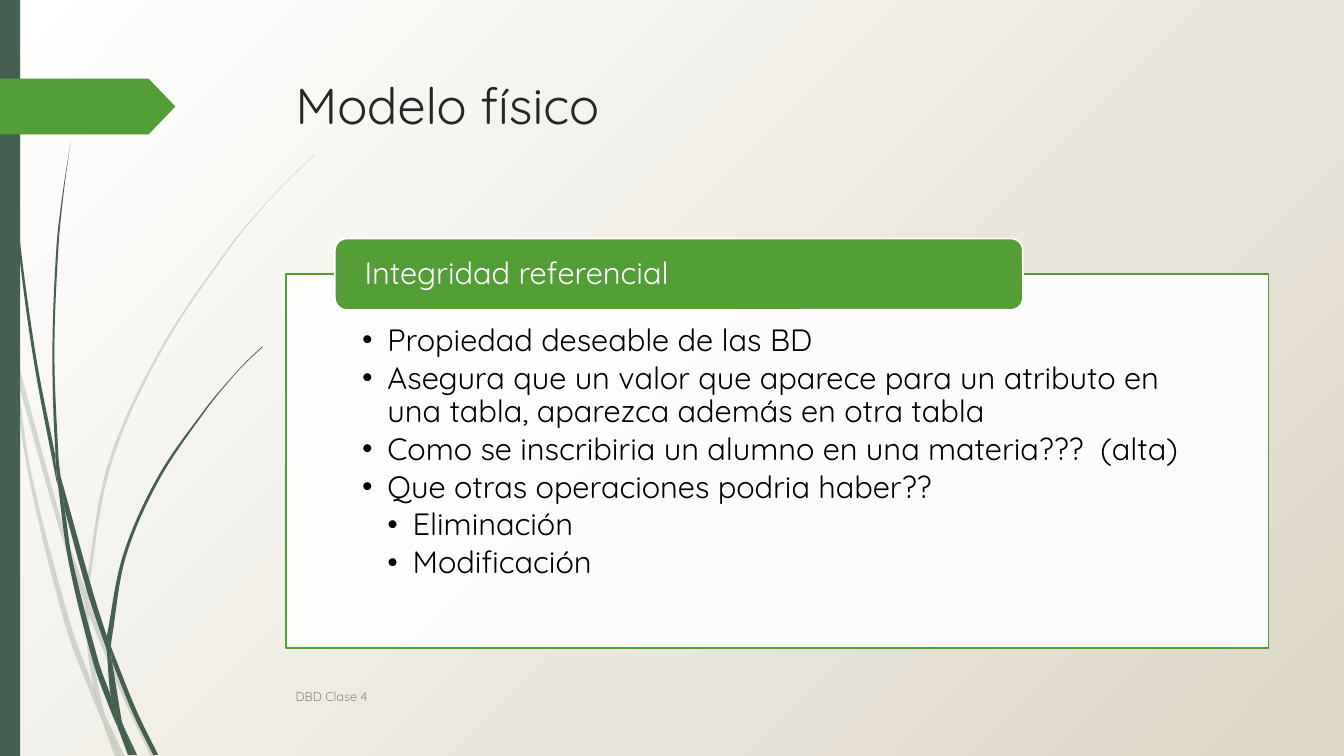
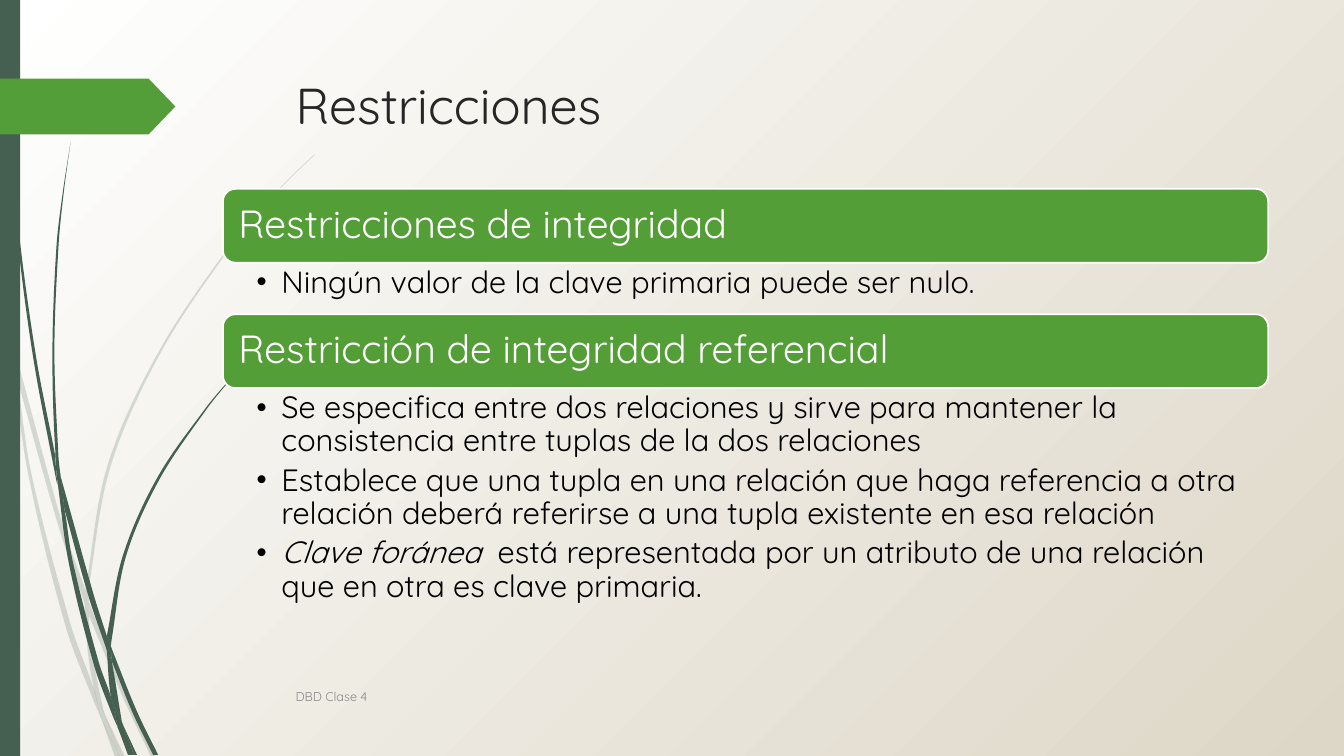
from math import dist

from lxml.etree import SubElement
from pptx import Presentation
from pptx.dml.color import RGBColor
from pptx.enum.shapes import MSO_SHAPE as Kind
from pptx.enum.text import MSO_ANCHOR as Anchor, PP_ALIGN as Align
from pptx.oxml.ns import qn
from pptx.util import Cm, Pt

# Shared look
FONT = "Quicksand"
WHITE = RGBColor(0xFF, 0xFF, 0xFF)
BLACK = RGBColor(0, 0, 0)
SAND = RGBColor(0xDD, 0xD7, 0xC7)
PINE = RGBColor(0x45, 0x5F, 0x51)
LEAF = RGBColor(0x54, 0x9E, 0x39)
GREEN = RGBColor(0x53, 0x9E, 0x36)
INK = RGBColor(0x26, 0x26, 0x26)
GRAY = RGBColor(0x88, 0x88, 0x88)

# Boxes in cm: left, top, width, height
WIDE, HIGH = 33.87, 19.05
BAND = (0, 0, 0.51, HIGH)
ARROW = (0, 1.98, 4.42, 1.41)
TITLE = (7.2, 1.73, 24.77, 3.56)
FOOT = (7.2, 17.04, 21.16, 1.02)

# Grass pieces: the edge down and the edge back up, in steps of 0.0254 cm
FINE = 100
UNIT = Cm(2.54) / 100 / FINE
PALE = [
    ([(0, 282), (9, 322), (11, 350)], [(11, 350), (10, 344), (0, 299)]),
    ([(14, 345), (62, 520), (85, 586)], [(84, 599), (58, 522), (17, 376)]),
    ([(88, 596), (92, 607), (127, 692), (155, 751)],
     [(150, 751), (123, 694), (88, 610)]),
    ([(105, 711), (124, 751)], [(119, 751), (105, 711)]),
    ([(11, 350), (17, 376), (31, 469), (70, 619), (93, 683), (99, 707),
      (101, 714)],
     [(101, 714), (92, 693), (65, 621), (28, 470), (11, 350)]),
    ([(84, 599), (88, 608), (88, 610), (91, 646), (103, 706), (105, 711)],
     [(105, 711), (96, 692), (93, 683), (87, 646), (84, 599)]),
    ([(312, 153), (289, 175), (268, 197), (228, 244), (158, 348),
      (107, 461), (85, 584), (85, 586)],
     [(88, 596), (88, 584), (110, 462), (160, 349), (229, 245), (268, 198),
      (290, 175), (312, 154)]),
    ([(101, 714), (119, 751)], [(114, 751), (101, 714)]),
    ([(85, 586), (88, 596)], [(88, 610), (88, 608), (84, 599)]),
    ([(93, 683), (99, 707), (101, 714), (119, 751)],
     [(119, 751), (105, 711), (96, 692), (93, 683)]),
]
DARK = [
    ([(3, 0), (4, 48), (7, 110), (17, 233), (33, 355), (56, 477), (57, 481)],
     [(57, 481), (55, 457), (55, 453), (36, 355), (19, 232), (8, 109),
      (5, 48), (4, 0)]),
    ([(60, 472), (93, 590), (106, 631)], [(106, 645), (88, 592), (64, 505)]),
    ([(110, 641), (113, 649), (136, 706), (157, 749)],
     [(152, 749), (132, 708), (111, 656)]),
    ([(57, 477), (64, 505), (72, 556), (98, 657), (110, 691), (116, 717),
      (117, 722)],
     [(117, 722), (111, 708), (93, 659), (68, 557), (57, 477)]),
    ([(70, 141), (62, 193), (56, 245), (52, 349), (55, 449), (60, 472)],
     [(60, 472), (58, 453), (54, 349), (58, 245), (63, 193), (70, 141)]),
    ([(122, 719), (136, 749)], [(133, 749), (122, 719)]),
    ([(55, 449), (60, 472), (64, 505)],
     [(64, 505), (57, 477), (55, 453), (55, 449)]),
    ([(260, 344), (245, 358), (231, 373), (204, 405), (156, 474),
      (122, 551), (106, 631)],
     [(110, 641), (111, 633), (125, 552), (158, 476), (205, 406),
      (231, 374), (245, 359), (261, 344)]),
    ([(117, 722), (131, 749)], [(127, 749), (117, 722)]),
    ([(106, 645), (109, 651), (111, 656), (121, 716), (122, 719)],
     [(122, 719), (116, 706), (110, 691), (106, 645)]),
    ([(106, 631), (110, 641), (111, 656)],
     [(109, 651), (106, 645), (106, 633)]),
    ([(110, 691), (116, 717), (117, 722), (130, 749)],
     [(133, 749), (122, 719), (116, 706), (110, 691)]),
]


def place(box):
    return [Cm(n) for n in box]


def paint(shape, fill, alpha=None, edge=None):
    shape.shadow.inherit = False
    shape.fill.solid()
    shape.fill.fore_color.rgb = fill
    if alpha is not None:
        tint = shape._element.spPr.find(".//" + qn("a:srgbClr"))
        SubElement(tint, qn("a:alpha"), val=str(alpha * 1000))
    if edge is None:
        shape.line.fill.background()
    else:
        shape.line.color.rgb = edge
        shape.line.width = Pt(1.25)


def block(slide, kind, box, fill, alpha=None, edge=None):
    shape = slide.shapes.add_shape(kind, *place(box))
    paint(shape, fill, alpha, edge)
    return shape


def setup(shape, pads, anchor=Anchor.TOP):
    frame = shape.text_frame
    frame.word_wrap = True
    frame.vertical_anchor = anchor
    (frame.margin_left, frame.margin_top,
     frame.margin_right, frame.margin_bottom) = place(pads)
    return frame


def style(para, size, color):
    para.alignment = Align.LEFT
    for run in para.runs:
        run.font.name = FONT
        run.font.size = Pt(size)
        run.font.color.rgb = color


def label(shape, text, size, color, pads, anchor=Anchor.TOP, space=None):
    para = setup(shape, pads, anchor).paragraphs[0]
    para.text = text
    para.line_spacing = space
    style(para, size, color)


def bullets(shape, items, gap, pads):
    """Each item is a level and its text; a first part of two is italic."""
    frame = setup(shape, pads)
    for i, (level, *parts) in enumerate(items):
        para = frame.add_paragraph() if i else frame.paragraphs[0]
        para.text = parts[0]
        for part in parts[1:]:
            para.runs[0].font.italic = True
            para.add_run().text = part
        style(para, 22, BLACK)
        para.level = level
        para.line_spacing = 0.9
        para.space_before = Pt(gap if i else 0)
        props = para._p.get_or_add_pPr()
        props.set("marL", str(Cm(0.635 * (level + 1))))
        props.set("indent", str(-Cm(0.635)))
        SubElement(props, qn("a:buFont"), typeface=FONT)
        SubElement(props, qn("a:buChar"), char="•")


def curve(knots):
    """Control points and end of each smooth arc through the knots."""
    times = [0]
    for a, b in zip(knots, knots[1:]):
        times.append(times[-1] + dist(a, b))
    last = len(knots) - 1
    slopes = []
    for i in range(last + 1):
        lo, hi = max(i - 1, 0), min(i + 1, last)
        span = times[hi] - times[lo]
        slopes.append([(q - p) / span for p, q in zip(knots[lo], knots[hi])])
    arcs = []
    for i in range(last):
        third = (times[i + 1] - times[i]) / 3
        out = [p + m * third for p, m in zip(knots[i], slopes[i])]
        back = [p - m * third for p, m in zip(knots[i + 1], slopes[i + 1])]
        arcs.append((out, back, knots[i + 1]))
    return arcs


def blade(shapes, down, up):
    """Freeform whose straight sides are then bent into curves."""
    down, up = ([(x * FINE, y * FINE) for x, y in side] for side in (down, up))
    cap = [] if up[0] == down[-1] else [(up[0],)]
    arcs = curve(down) + cap + curve(up)
    pen = shapes.build_freeform(*down[0], scale=UNIT)
    pen.add_line_segments([arc[-1] for arc in arcs], close=True)
    shape = pen.convert_to_shape()
    left, top = (min(axis) for axis in zip(*down, *up))
    sides = shape._element.findall(".//" + qn("a:lnTo"))
    for side, arc in zip(sides, arcs):
        if len(arc) == 3:
            bend = SubElement(side.getparent(), qn("a:cubicBezTo"))
            side.getparent().replace(side, bend)
            for x, y in arc:
                SubElement(bend, qn("a:pt"), x=str(round(x - left)),
                           y=str(round(y - top)))
    return shape


def grass(slide, blades, alpha=None):
    group = slide.shapes.add_group_shape()
    for down, up in blades:
        paint(blade(group.shapes, down, up), PINE, alpha)


def backdrop(slide):
    fill = slide.background.fill
    fill.gradient()
    for stop, color, spot in zip(fill.gradient_stops, (WHITE, SAND), (0, 1)):
        stop.color.rgb = color
        stop.position = spot
    grad = slide._element.find(".//" + qn("a:gradFill"))
    grad.remove(grad.find(qn("a:lin")))
    ring = SubElement(grad, qn("a:path"))
    ring.set("path", "circle")
    SubElement(ring, qn("a:fillToRect"), r="100000", b="100000")


def base(deck, title):
    slide = deck.slides.add_slide(deck.slide_layouts[6])
    backdrop(slide)
    grass(slide, PALE, 20)
    grass(slide, DARK)
    block(slide, Kind.RECTANGLE, BAND, PINE)
    arrow = block(slide, Kind.PENTAGON, ARROW, LEAF)
    arrow.adjustments[0] = 0.48
    pads = (0.25, 0.13, 0.25, 0.13)
    head = slide.shapes.add_textbox(*place(TITLE))
    label(head, title, 36, INK, pads)
    foot = slide.shapes.add_textbox(*place(FOOT))
    label(foot, "DBD Clase 4", 9, GRAY, pads, Anchor.MIDDLE)
    return slide


def header(slide, box, text, size, pad):
    bar = block(slide, Kind.ROUNDED_RECTANGLE, box, GREEN, edge=WHITE)
    label(bar, text, size, WHITE, (pad, 0, pad, 0), Anchor.MIDDLE, 0.9)


def panel(slide, box, text, items):
    """Framed list with a tab over its upper edge."""
    left, top, width, _ = box
    frame = block(slide, Kind.RECTANGLE, box, WHITE, 90, GREEN)
    bullets(frame, items, 3.3, (1.93, 1.27, 1.93, 0.43))
    tab = (left + width * 0.05, top - 0.9, width * 0.7, 1.8)
    header(slide, tab, text, 22, 0.66)


def stack(slide, box, parts):
    """Full-width headers, each with its list below."""
    left, top, width, bar = box
    for text, high, items in parts:
        header(slide, (left, top, width, bar), text, 28, 0.3)
        top += bar
        body = slide.shapes.add_textbox(*place((left, top, width, high)))
        bullets(body, items, 4.4, (0.84, 0.1, 0.56, 0.1))
        top += high


def main():
    deck = Presentation()
    deck.slide_width, deck.slide_height = Cm(WIDE), Cm(HIGH)

    panel(base(deck, "Modelo físico"), (7.2, 6.91, 24.77, 9.42),
          "Integridad referencial", [
        (0, "Propiedad deseable de las BD"),
        (0, "Asegura que un valor que aparece para un atributo en una tabla, "
            "aparezca además en otra tabla"),
        (0, "Como se inscribiria un alumno en una materia???  (alta)"),
        (0, "Que otras operaciones podria haber??"),
        (1, "Eliminación"),
        (1, "Modificación"),
    ])

    stack(base(deck, "Restricciones"), (5.62, 4.76, 26.34, 1.86), [
        ("Restricciones de integridad", 1.3, [
            (0, "Ningún valor de la clave primaria puede ser nulo."),
        ]),
        ("Restricción de integridad referencial", 6.6, [
            (0, "Se especifica entre dos relaciones y sirve para mantener la "
                "consistencia entre tuplas de la dos relaciones"),
            (0, "Establece que una tupla en una relación que haga referencia "
                "a otra relación deberá referirse a una tupla existente en "
                "esa relación"),
            (0, "Clave foránea", "  está representada por un atributo de una "
                "relación que en otra es clave primaria."),
        ]),
    ])

    deck.save("out.pptx")


if __name__ == "__main__":
    main()
